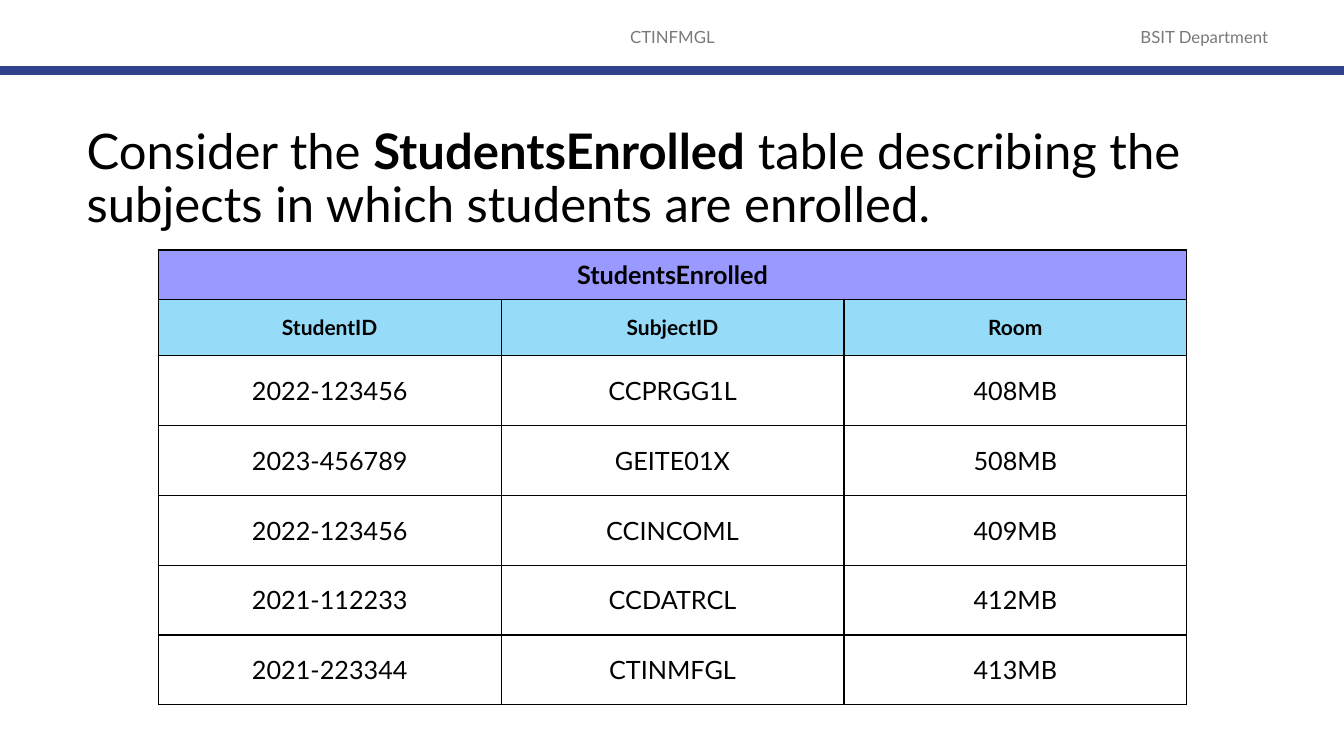
from dataclasses import dataclass

from lxml.etree import SubElement
from pptx import Presentation
from pptx.dml.color import RGBColor
from pptx.enum.shapes import MSO_CONNECTOR
from pptx.enum.text import MSO_ANCHOR, MSO_AUTO_SIZE, PP_ALIGN
from pptx.oxml import parse_xml
from pptx.oxml.ns import nsdecls, qn
from pptx.util import Inches, Pt


@dataclass(frozen=True)
class Theme:
    font: str = "Lato"
    ink: str = "000000"
    muted: str = "797979"
    rule: str = "32418C"
    caption_fill: str = "9999FF"
    heading_fill: str = "96DCF8"
    label_size: int = 12
    title_size: int = 35
    heading_size: int = 15
    cell_size: int = 18
    rule_width: int = 6
    border_width: int = 1


THEME = Theme()
CAPTION = "StudentsEnrolled"
HEADINGS = ["StudentID", "SubjectID", "Room"]
ENROLMENTS = [
    ["2022-123456", "CCPRGG1L", "408MB"],
    ["2023-456789", "GEITE01X", "508MB"],
    ["2022-123456", "CCINCOML", "409MB"],
    ["2021-112233", "CCDATRCL", "412MB"],
    ["2021-223344", "CTINMFGL", "413MB"],
]
ROW_HEIGHTS = [0.49, 0.56, 0.69, 0.7, 0.69, 0.69, 0.69]
COLUMN_WIDTH = 3.4


def style_font(font, size, color=THEME.ink, bold=False):
    font.name = THEME.font
    font.size = Pt(size)
    font.bold = bold
    font.color.rgb = RGBColor.from_string(color)


def add_header_label(slide, text, left, width):
    label = slide.shapes.add_textbox(
        Inches(left), Inches(0.17), Inches(width), Inches(0.4))
    frame = label.text_frame
    frame.word_wrap = True
    frame.vertical_anchor = MSO_ANCHOR.MIDDLE
    frame.text = text
    paragraph = frame.paragraphs[0]
    paragraph.alignment = PP_ALIGN.CENTER
    style_font(paragraph.runs[0].font, THEME.label_size, THEME.muted)


def add_header_rule(slide, slide_width):
    y = Inches(0.7)
    rule = slide.shapes.add_connector(
        MSO_CONNECTOR.STRAIGHT, 0, y, slide_width, y)
    rule.line.color.rgb = RGBColor.from_string(THEME.rule)
    rule.line.width = Pt(THEME.rule_width)
    SubElement(rule._element.spPr, qn("a:effectLst"))


def fill_title(title, parts):
    """Place the title and write its (text, bold) parts."""
    title.left, title.top = Inches(0.76), Inches(1.21)
    title.width, title.height = Inches(12.23), Inches(1.03)
    frame = title.text_frame
    frame.word_wrap = True
    frame.auto_size = MSO_AUTO_SIZE.NONE
    frame.vertical_anchor = MSO_ANCHOR.TOP
    paragraph = frame.paragraphs[0]
    paragraph.alignment = PP_ALIGN.LEFT
    paragraph.line_spacing = 0.9
    for text, bold in parts:
        run = paragraph.add_run()
        run.text = text
        style_font(run.font, THEME.title_size, bold=bold)


def add_borders(cell):
    properties = cell._tc.get_or_add_tcPr()
    for side in ("lnL", "lnR", "lnT", "lnB"):
        properties.append(parse_xml(
            f'<a:{side} {nsdecls("a")} w="{Pt(THEME.border_width)}">'
            f'<a:solidFill><a:srgbClr val="{THEME.ink}"/></a:solidFill>'
            f'</a:{side}>'))


def fill_cell(cell, text, size, fill=None, bold=False):
    add_borders(cell)
    if fill:
        cell.fill.solid()
        cell.fill.fore_color.rgb = RGBColor.from_string(fill)
    else:
        cell.fill.background()
    cell.vertical_anchor = MSO_ANCHOR.MIDDLE
    cell.text = text
    paragraph = cell.text_frame.paragraphs[0]
    paragraph.alignment = PP_ALIGN.CENTER
    for run in paragraph.runs:
        style_font(run.font, size, bold=bold)


def add_enrolment_table(slide):
    column_count = len(HEADINGS)
    table = slide.shapes.add_table(
        len(ROW_HEIGHTS), column_count, Inches(1.57), Inches(2.48),
        Inches(COLUMN_WIDTH * column_count), Inches(sum(ROW_HEIGHTS))).table
    table.first_row = table.horz_banding = False
    for column in table.columns:
        column.width = Inches(COLUMN_WIDTH)
    for row, height in zip(table.rows, ROW_HEIGHTS):
        row.height = Inches(height)

    caption_row = [CAPTION] + [""] * (column_count - 1)
    styled_rows = [
        (caption_row, THEME.cell_size, THEME.caption_fill, True),
        (HEADINGS, THEME.heading_size, THEME.heading_fill, True),
        *((enrolment, THEME.cell_size, None, False) for enrolment in ENROLMENTS),
    ]
    for row, (texts, size, fill, bold) in zip(table.rows, styled_rows):
        for cell, text in zip(row.cells, texts):
            fill_cell(cell, text, size, fill, bold)
    table.cell(0, 0).merge(table.cell(0, column_count - 1))


def main():
    deck = Presentation()
    deck.slide_width, deck.slide_height = Inches(13.33), Inches(7.5)
    title_only = deck.slide_layouts.get_by_name("Title Only")
    slide = deck.slides.add_slide(title_only)
    add_header_label(slide, "CTINFMGL", 4.42, 4.5)
    add_header_label(slide, "BSIT Department", 10.92, 2.05)
    add_header_rule(slide, deck.slide_width)
    fill_title(slide.shapes.title, [
        ("Consider the ", False),
        (CAPTION, True),
        (" table describing the subjects in which students are enrolled.", False),
    ])
    add_enrolment_table(slide)
    deck.save("out.pptx")


if __name__ == "__main__":
    main()
